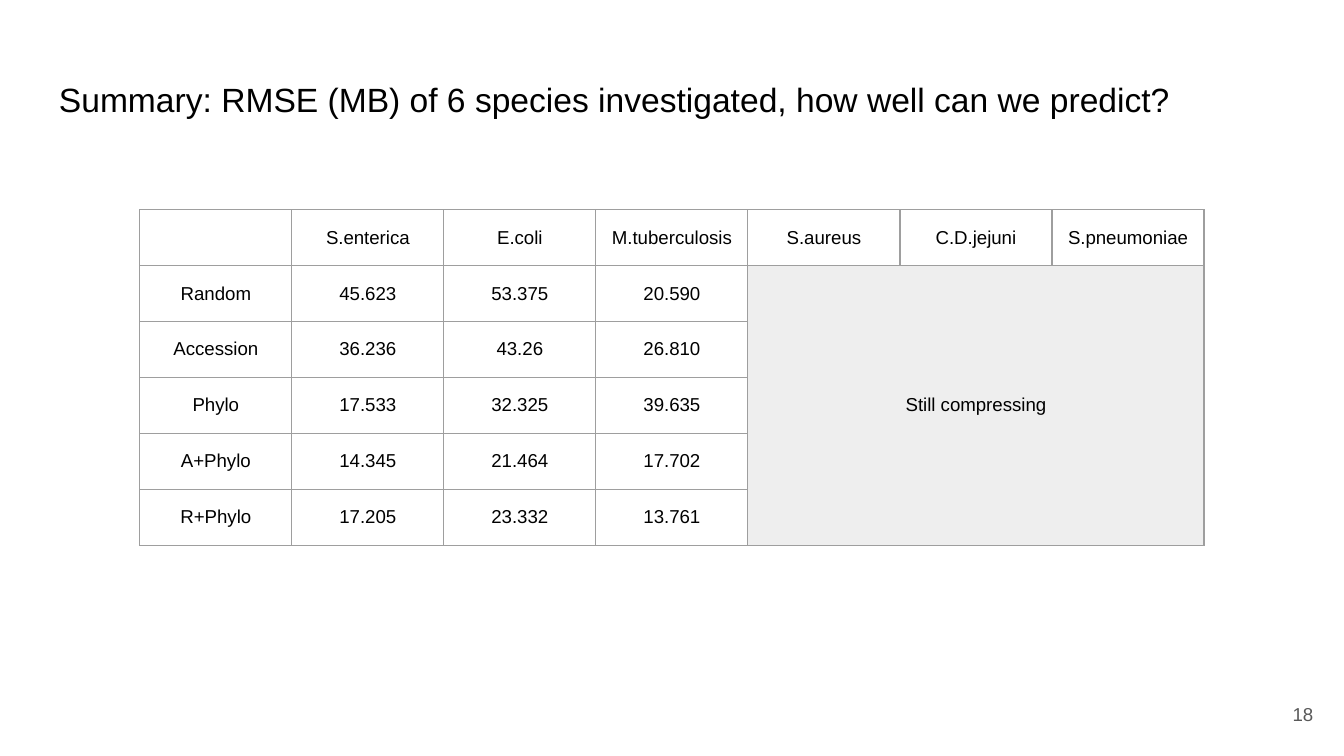
"""Build the RMSE summary slide with its results table."""
import lxml.etree
import pptx
import pptx.dml.color
import pptx.enum.text
import pptx.oxml.ns
import pptx.util

TITLE = "Summary: RMSE (MB) of 6 species investigated, how well can we predict?"
PAGE = "18"
SPECIES = ["S.enterica", "E.coli", "M.tuberculosis", "S.aureus", "C.D.jejuni", "S.pneumoniae"]
RESULTS = [
    ("Random", "45.623", "53.375", "20.590"),
    ("Accession", "36.236", "43.26", "26.810"),
    ("Phylo", "17.533", "32.325", "39.635"),
    ("A+Phylo", "14.345", "21.464", "17.702"),
    ("R+Phylo", "17.205", "23.332", "13.761"),
]
PENDING = "Still compressing"
THEME = {
    "font": "Arial", "title": 18, "body": 10, "text": "000000", "muted": "595959",
    "cell": "FFFFFF", "pending": "EEEEEE", "border": "9E9E9E", "line": 0.75,
}

Inches = pptx.util.Inches
RGB = pptx.dml.color.RGBColor.from_string
ALIGN = pptx.enum.text.PP_ALIGN
ANCHOR = pptx.enum.text.MSO_ANCHOR


def style(p, size, color, align):
    p.alignment = align
    p.font.name = THEME["font"]
    p.font.size = pptx.util.Pt(size)
    p.font.color.rgb = RGB(color)


def set_margins(box):
    box.margin_left = box.margin_right = Inches(0.1)
    box.margin_top = box.margin_bottom = Inches(0.1)


def add_text(s, text, box, size, color, align, anchor):
    tf = s.shapes.add_textbox(*map(Inches, box)).text_frame
    tf.word_wrap = True
    tf.vertical_anchor = anchor
    set_margins(tf)
    tf.text = text
    style(tf.paragraphs[0], size, color, align)


def add_borders(cell):
    qn = pptx.oxml.ns.qn
    props = cell._tc.get_or_add_tcPr()
    for side in ("a:lnL", "a:lnR", "a:lnT", "a:lnB"):
        line = lxml.etree.SubElement(props, qn(side), w=str(pptx.util.Pt(THEME["line"])))
        fill = lxml.etree.SubElement(line, qn("a:solidFill"))
        lxml.etree.SubElement(fill, qn("a:srgbClr"), val=THEME["border"])


def format_cell(cell, text, fill):
    cell.text = text
    set_margins(cell)
    cell.vertical_anchor = ANCHOR.MIDDLE
    style(cell.text_frame.paragraphs[0], THEME["body"], THEME["text"], ALIGN.CENTER)
    add_borders(cell)
    cell.fill.solid()
    cell.fill.fore_color.rgb = RGB(fill)


def add_results(s):
    rows = [["", *SPECIES], *RESULTS]
    n_rows, n_cols, first = len(rows), len(rows[0]), len(RESULTS[0])
    box = map(Inches, (1.04, 1.56, 7.92, 2.5))
    table = s.shapes.add_table(n_rows, n_cols, *box).table
    table.first_row = table.horz_banding = False
    for i, row in enumerate(rows):
        for j in range(n_cols):
            known = j < len(row)
            text = row[j] if known else PENDING if (i, j) == (1, first) else ""
            format_cell(table.cell(i, j), text, THEME["cell" if known else "pending"])
    table.cell(1, first).merge(table.cell(n_rows - 1, n_cols - 1))


def main():
    prs = pptx.Presentation()
    prs.slide_width = Inches(10)
    prs.slide_height = prs.slide_width * 9 // 16
    s = prs.slides.add_slide(prs.slide_layouts[6])
    add_text(s, TITLE, (0.34, 0.49, 9.32, 0.63), THEME["title"], THEME["text"],
             ALIGN.LEFT, ANCHOR.TOP)
    add_text(s, PAGE, (9.27, 5.1, 0.6, 0.43), THEME["body"], THEME["muted"],
             ALIGN.RIGHT, ANCHOR.MIDDLE)
    add_results(s)
    prs.save("out.pptx")


if __name__ == "__main__":
    main()
